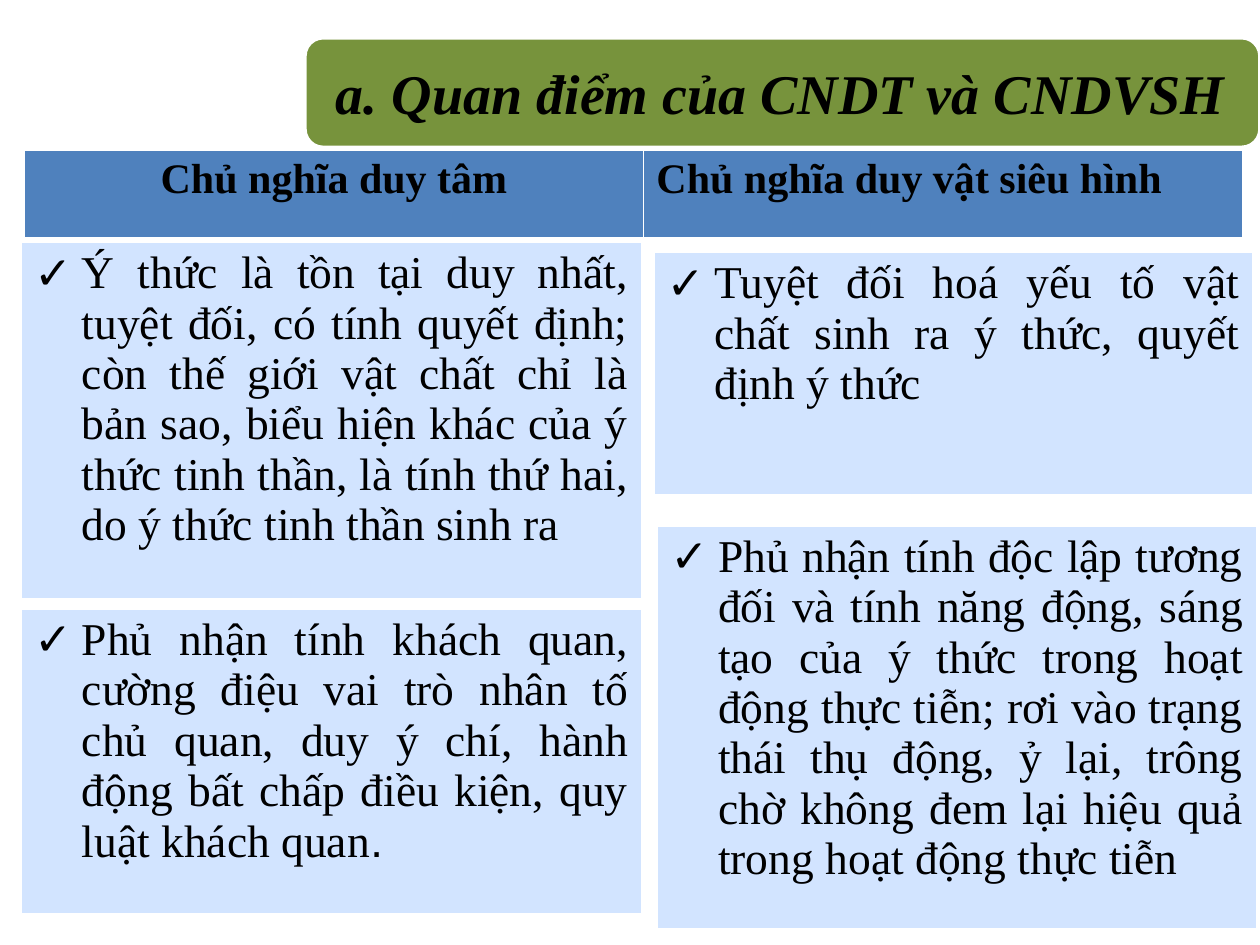
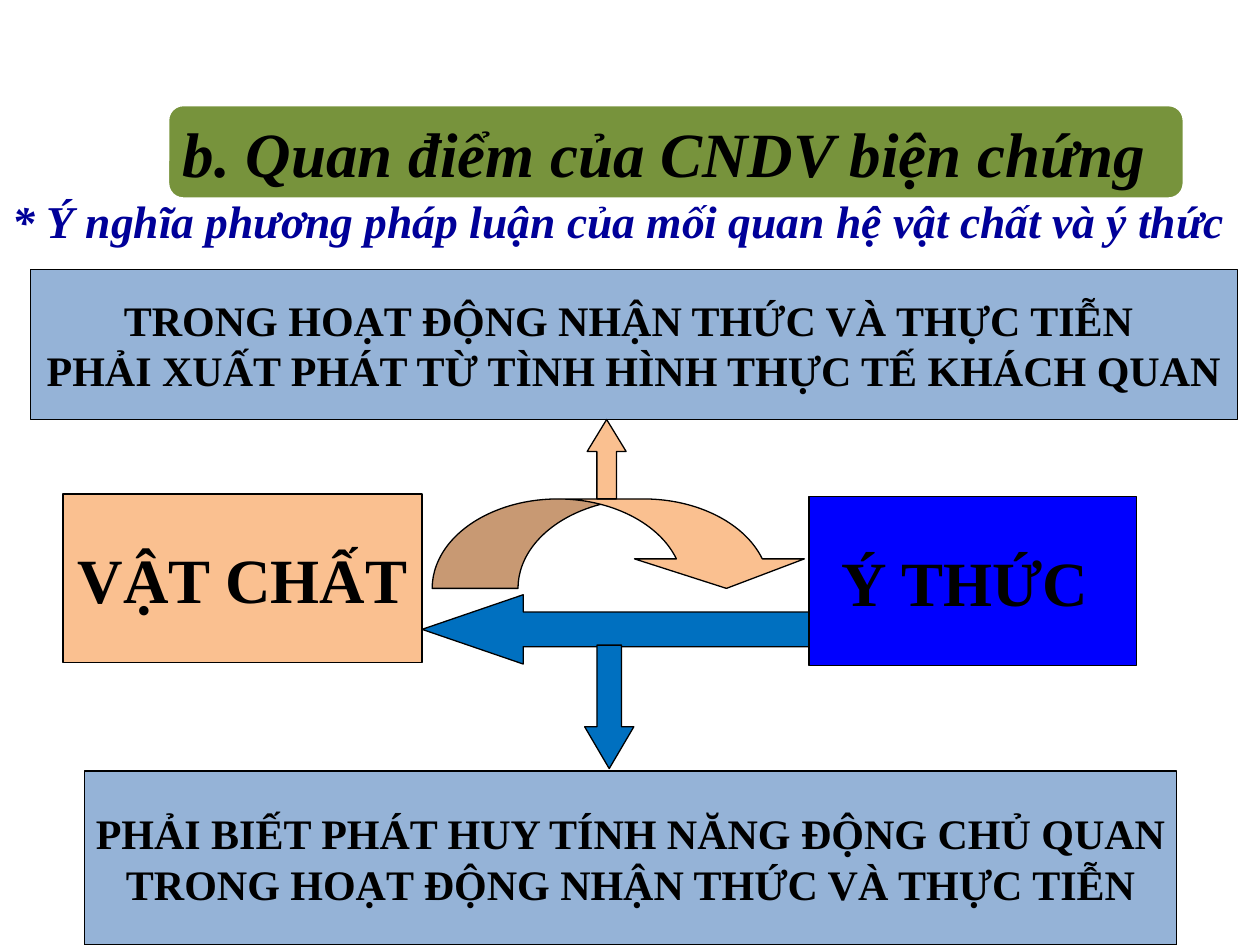
from lxml.etree import SubElement
from pptx import Presentation
from pptx.dml.color import RGBColor
from pptx.enum.shapes import MSO_SHAPE
from pptx.enum.text import MSO_ANCHOR, MSO_AUTO_SIZE, PP_ALIGN
from pptx.oxml.ns import qn
from pptx.util import Inches, Pt

COLORS = {
    "band": "77933C", "white": "FFFFFF", "black": "000000", "header": "4F81BD",
    "point": "D2E4FF", "matter": "FAC090", "mind": "0000FF", "lesson": "95B3D7",
    "feedback": "0070C0", "subtitle": "000099",
}
SERIF = "Times New Roman"
TITLE_ONLY = 5

# Places are left, top, width, height in inches.
VIEWS = {
    "title": "a. Quan điểm của CNDT và CNDVSH",
    "band": (2.42, 0.3, 7.58, 0.87),
    "title_at": (2.42, 0.34, 7.55, 0.78),
    "title_size": 32,
}
SCHOOLS_AT = (0.19, 1.19, 9.67, 0.7)
SCHOOLS = [
    ("Chủ nghĩa duy tâm", 4.92, PP_ALIGN.CENTER),
    ("Chủ nghĩa duy vật siêu hình", 4.75, PP_ALIGN.LEFT),
]
POINTS = [
    ((0.17, 4.83, 4.92, 2.42),
     [("Phủ nhận tính khách quan, cường điệu vai trò nhân tố chủ quan, duy ý chí, "
       "hành động bất chấp điều kiện, quy luật khách quan", SERIF), (".", "Arial")]),
    ((0.17, 1.92, 4.92, 2.83),
     [("Ý thức là tồn tại duy nhất, tuyệt đối, có tính quyết định; còn thế giới vật chất "
       "chỉ là bản sao, biểu hiện khác của ý thức tinh thần, là tính thứ hai, "
       "do ý thức tinh thần sinh ra", SERIF)]),
    ((5.22, 4.17, 4.75, 3.2),
     [("Phủ nhận tính độc lập tương đối và tính năng động, sáng tạo của ý thức trong "
       "hoạt động thực tiễn; rơi vào trạng thái thụ động, ỷ lại, trông chờ không đem lại "
       "hiệu quả trong hoạt động thực tiễn ", SERIF)]),
    ((5.19, 2, 4.75, 1.92),
     [("Tuyệt đối hoá yếu tố vật chất sinh ra ý thức, quyết định ý thức", SERIF)]),
]

DIALECTIC = {
    "title": "b. Quan điểm của CNDV biện chứng",
    "band": (1.33, 0.83, 8.07, 0.75),
    "title_at": (1.17, 0.87, 8.2, 0.68),
    "title_size": 36,
}
SUBTITLE = "* Ý nghĩa phương pháp luận của mối quan hệ vật chất và ý thức"
SUBTITLE_AT = (0, 1.48, 10.12, 0.54)
BOXES = [
    ((0.5, 3.92, 2.85, 1.34), "matter", 36, ["VẬT CHẤT"]),
    ((6.42, 3.94, 2.6, 1.34), "mind", 36, ["Ý THỨC "]),
    ((0.24, 2.14, 9.58, 1.19), "lesson", 24,
     ["TRONG HOẠT ĐỘNG NHẬN THỨC VÀ THỰC TIỄN ",
      "PHẢI XUẤT PHÁT TỪ TÌNH HÌNH THỰC TẾ KHÁCH QUAN"]),
    ((0.67, 6.12, 8.67, 1.38), "lesson", 24,
     ["PHẢI BIẾT PHÁT HUY TÍNH NĂNG ĐỘNG CHỦ QUAN",
      "TRONG HOẠT ĐỘNG NHẬN THỨC VÀ THỰC TIỄN"]),
]
ARROWS = [
    (MSO_SHAPE.CURVED_DOWN_ARROW, (3.43, 3.96, 3.01, 0.71), "matter", (0.96, 1.9, 0.33)),
    (MSO_SHAPE.LEFT_ARROW, (3.35, 4.72, 3.07, 0.55), "feedback", (0.5, 1.46)),
    (MSO_SHAPE.UP_ARROW, (4.66, 3.33, 0.31, 0.63), "matter", (0.5, 0.82)),
    (MSO_SHAPE.DOWN_ARROW, (4.64, 5.12, 0.39, 0.98), "feedback", (0.5, 0.85)),
]


def rgb(name):
    return RGBColor.from_string(COLORS[name])


def inches(place):
    return [Inches(length) for length in place]


def write(paragraph, text, size, color="black", font=SERIF, **styles):
    run = paragraph.add_run()
    run.text = text
    run.font.color.rgb = rgb(color)
    for key, value in {"name": font, "size": Pt(size), **styles}.items():
        setattr(run.font, key, value)


def add_block(slide, preset, place, fill, line="black", line_width=0.75, adjustments=()):
    block = slide.shapes.add_shape(preset, *inches(place))
    block.shadow.inherit = False
    block.fill.solid()
    block.fill.fore_color.rgb = rgb(fill)
    block.line.color.rgb = rgb(line)
    block.line.width = Pt(line_width)
    for index, value in enumerate(adjustments):
        block.adjustments[index] = value
    return block


def add_titled_slide(deck, heading):
    slide = deck.slides.add_slide(deck.slide_layouts[TITLE_ONLY])
    title = slide.shapes.title
    band = add_block(slide, MSO_SHAPE.ROUNDED_RECTANGLE, heading["band"], "band", "white", 2)
    title._element.addprevious(band._element)
    title.left, title.top, title.width, title.height = inches(heading["title_at"])
    frame = title.text_frame
    frame_format = {
        "auto_size": MSO_AUTO_SIZE.NONE, "vertical_anchor": MSO_ANCHOR.MIDDLE, "word_wrap": True,
        "margin_left": Inches(0.1), "margin_right": Inches(0.1),
        "margin_top": 0, "margin_bottom": 0,
    }
    for key, value in frame_format.items():
        setattr(frame, key, value)
    frame.paragraphs[0].alignment = PP_ALIGN.CENTER
    write(frame.paragraphs[0], heading["title"], heading["title_size"], bold=True, italic=True)
    return slide


def add_row(slide, place, widths, fill, borders):
    """Add a one-row table and return its cells; borders gives widths by side."""
    table = slide.shapes.add_table(1, len(widths), *inches(place)).table
    table.first_row = table.horz_banding = False
    for column, width in zip(table.columns, widths):
        column.width = Inches(width)
    cells = list(table.rows[0].cells)
    for cell in cells:
        properties = cell._tc.get_or_add_tcPr()
        for side in "LRTB":
            edge = SubElement(properties, qn(f"a:ln{side}"), w=str(Pt(borders.get(side, 0.45))))
            SubElement(SubElement(edge, qn("a:solidFill")), qn("a:srgbClr"), val=COLORS["white"])
        cell.fill.solid()
        cell.fill.fore_color.rgb = rgb(fill)
    return cells


def add_check_bullet(paragraph):
    properties = paragraph._p.get_or_add_pPr()
    properties.set("marL", str(Inches(0.38)))
    properties.set("indent", str(-Inches(0.38)))
    color = SubElement(properties, qn("a:buClr"))
    SubElement(color, qn("a:srgbClr"), val=COLORS["black"])
    SubElement(properties, qn("a:buFont"), typeface="Arial")
    SubElement(properties, qn("a:buChar"), char="✓")


def build_views(deck):
    slide = add_titled_slide(deck, VIEWS)
    widths = [width for _, width, _ in SCHOOLS]
    header = add_row(slide, SCHOOLS_AT, widths, "header", {"B": 1.47})
    for cell, (school, _, alignment) in zip(header, SCHOOLS):
        paragraph = cell.text_frame.paragraphs[0]
        paragraph.alignment = alignment
        paragraph.space_before = Pt(6)
        write(paragraph, school, 24, bold=True)
    for place, pieces in POINTS:
        cell, = add_row(slide, place, [place[2]], "point", {"T": 1.47})
        paragraph = cell.text_frame.paragraphs[0]
        paragraph.alignment = PP_ALIGN.JUSTIFY
        paragraph.space_before = Pt(6.5)
        add_check_bullet(paragraph)
        for text, font in pieces:
            write(paragraph, text, 26, font=font, bold=False)


def build_dialectic(deck):
    slide = add_titled_slide(deck, DIALECTIC)
    for place, fill, size, lines in BOXES:
        frame = add_block(slide, MSO_SHAPE.RECTANGLE, place, fill).text_frame
        frame.word_wrap = False
        frame.vertical_anchor = MSO_ANCHOR.MIDDLE
        for index, line in enumerate(lines):
            paragraph = frame.add_paragraph() if index else frame.paragraphs[0]
            paragraph.alignment = PP_ALIGN.CENTER
            write(paragraph, line, size, bold=True)
    for preset, place, fill, adjustments in ARROWS:
        add_block(slide, preset, place, fill, adjustments=adjustments)
    subtitle = slide.shapes.add_textbox(*inches(SUBTITLE_AT)).text_frame
    subtitle.word_wrap = True
    write(subtitle.paragraphs[0], SUBTITLE, 26, "subtitle", bold=True, italic=True)


def main():
    deck = Presentation()
    deck.slide_width, deck.slide_height = Inches(10), Inches(7.5)
    build_views(deck)
    build_dialectic(deck)
    deck.save("out.pptx")


if __name__ == "__main__":
    main()
